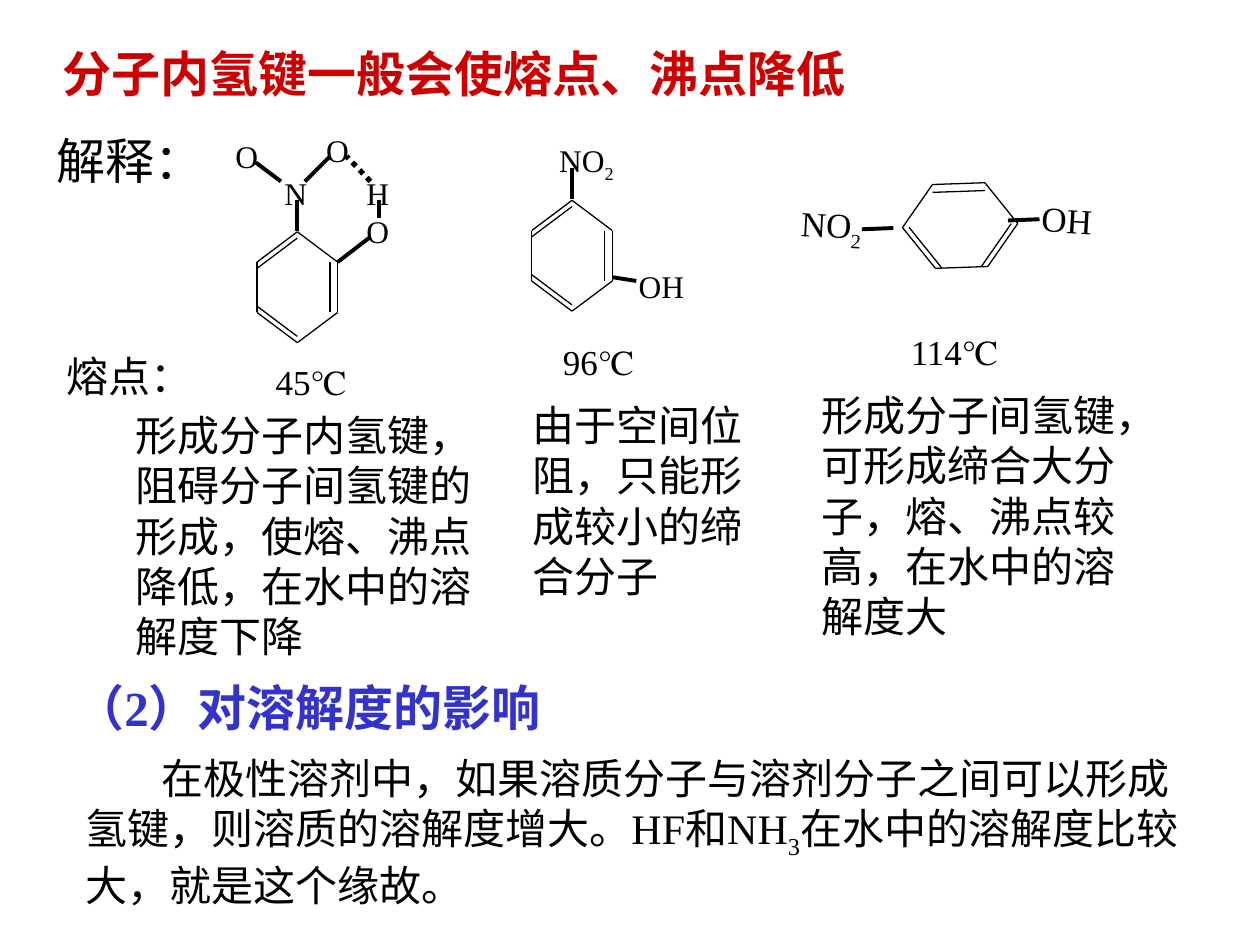
from math import cos, radians, sin

from lxml import etree
from pptx import Presentation
from pptx.dml.color import RGBColor
from pptx.enum.dml import MSO_LINE
from pptx.enum.shapes import MSO_CONNECTOR
from pptx.oxml.ns import qn
from pptx.util import Inches, Pt

BLACK = RGBColor(0x00, 0x00, 0x00)
RED = RGBColor(0xCC, 0x00, 0x00)
BLUE = RGBColor(0x33, 0x33, 0xCC)
FONT = "Times New Roman"
STRAIGHT = MSO_CONNECTOR.STRAIGHT
DOTS = MSO_LINE.ROUND_DOT

# Content: text, (left, top, width, height); digits between underscores are subscripts
TITLES = [
    ("分子内氢键一般会使熔点、沸点降低", (0.4, 0.3, 7.44, 0.57), RED),
    ("（2）对溶解度的影响", (0.5, 5.33, 3.93, 0.57), BLUE),
]
NOTES = [
    ("熔点：", (0.43, 2.73, 1.2, 0.5)),
    ("形成分子内氢键，阻碍分子间氢键的形成，使熔、沸点降低，在水中的溶解度下降",
     (0.98, 3.2, 2.91, 2.1)),
    ("由于空间位阻，只能形成较小的缔合分子", (4.13, 3.12, 1.89, 1.7)),
    ("形成分子间氢键，可形成缔合大分子，熔、沸点较高，在水中的溶解度大",
     (6.42, 3.04, 2.84, 2.1)),
]
BODY = ("在极性溶剂中，如果溶质分子与溶剂分子之间可以形成氢键，则溶质的溶解度增大。"
        "HF和NH_3_在水中的溶解度比较大，就是这个缘故。")
MELTS = [
    ("45℃", (2.09, 2.81, 0.86, 0.43)),
    ("96℃", (4.37, 2.65, 1.1, 0.43)),
    ("114℃", (7.13, 2.57, 1.42, 0.43)),
]

# Molecules: ring centre, turn in degrees, scale, atom labels, bonds
MOLS = [
    dict(mid=(2.36, 2.28), turn=0, scale=1, size=18, tilt=0,
         atoms=[("N", (2.16, 1.33, 0.46, 0.4)), ("O", (2.81, 1.63, 0.46, 0.4)),
                ("O", (2.49, 0.99, 0.46, 0.4)), ("O", (1.77, 1.04, 0.46, 0.4)),
                ("H", (2.81, 1.33, 0.46, 0.4))],
         bonds=[(2.36, 1.83, 2.36, 1.59), (2.68, 2.08, 2.94, 1.88),
                (2.03, 1.29, 2.23, 1.44), (2.42, 1.44, 2.62, 1.24),
                (3.01, 1.73, 3.01, 1.59)]),
    dict(mid=(4.54, 2.03), turn=0, scale=1, size=18, tilt=0,
         atoms=[("NO_2_", (4.34, 1.07, 0.87, 0.4)), ("OH", (4.97, 2.07, 0.69, 0.4))],
         bonds=[(4.54, 1.58, 4.54, 1.33), (4.86, 2.2, 5.05, 2.23)]),
    dict(mid=(7.62, 1.79), turn=92, scale=1.04, size=20, tilt=3.4,
         atoms=[("NO_2_", (6.26, 1.57, 0.91, 0.43)), ("OH", (8.17, 1.53, 0.77, 0.43))],
         bonds=[(8, 1.75, 8.25, 1.74), (6.84, 1.82, 7.09, 1.81)]),
]
H_BOND = (2.94, 1.44, 2.75, 1.24)

# Ring corners around its centre, clockwise from the top
RING = [(0, -0.44), (0.32, -0.2), (0.32, 0.2), (0, 0.44), (-0.32, 0.2), (-0.32, -0.2)]
# Edge number and shift of each second line of a double bond
PAIRS = [(5, 0, 0.05), (3, 0, -0.05), (1, -0.06, 0)]

deck = Presentation()
deck.slide_width, deck.slide_height = Inches(10), Inches(7.5)
slide = deck.slides.add_slide(deck.slide_layouts[6])


def write(text, spot, size=24, color=BLACK, bold=False, tilt=0, indent=0):
    box = slide.shapes.add_textbox(*map(Inches, spot))
    box.rotation = tilt
    frame = box.text_frame
    frame.word_wrap = True
    para = frame.paragraphs[0]
    if indent:
        para._p.get_or_add_pPr().set("indent", str(Inches(indent)))
    for num, part in enumerate(text.split("_")):
        if not part:
            continue
        run = para.add_run()
        run.text = part
        font = run.font
        font.name, font.size, font.bold = FONT, Pt(size), bold
        font.color.rgb = color
        if num % 2:
            run._r.get_or_add_rPr().set("baseline", "-25000")


def draw(ends, width=0.75, dash=None):
    line = slide.shapes.add_connector(STRAIGHT, *map(Inches, ends))
    line.line.color.rgb = BLACK
    line.line.width = Pt(width)
    if dash:
        line.line.dash_style = dash
    etree.SubElement(line._element.spPr, qn("a:effectLst"))


def place(point, mol):
    """Turn a ring point anticlockwise, scale it and move it to the molecule."""
    x, y = point
    turn = radians(mol["turn"])
    left, top = mol["mid"]
    return (left + mol["scale"] * (x * cos(turn) + y * sin(turn)),
            top + mol["scale"] * (y * cos(turn) - x * sin(turn)))


# Molecules
edges = [(RING[i], RING[(i + 1) % 6]) for i in range(6)]
inner = [[(x + dx, y + dy) for x, y in edges[i]] for i, dx, dy in PAIRS]
for mol in MOLS:
    for start, end in edges + inner:
        draw(place(start, mol) + place(end, mol))
    for bond in mol["bonds"]:
        draw(bond, width=2.25)
    for text, spot in mol["atoms"]:
        write(text, spot, size=mol["size"], tilt=mol["tilt"])
draw(H_BOND, width=3, dash=DOTS)

# Headings, melting points and explanations
for text, spot, color in TITLES:
    write(text, spot, size=28, color=color, bold=True)
write("解释：", (0.35, 0.99, 1.77, 0.57), size=28)
for text, spot in MELTS:
    write(text, spot, size=20)
for text, spot in NOTES:
    write(text, spot)
write(BODY, (0.58, 5.92, 9.02, 1.3), indent=0.6)

deck.save("out.pptx")
